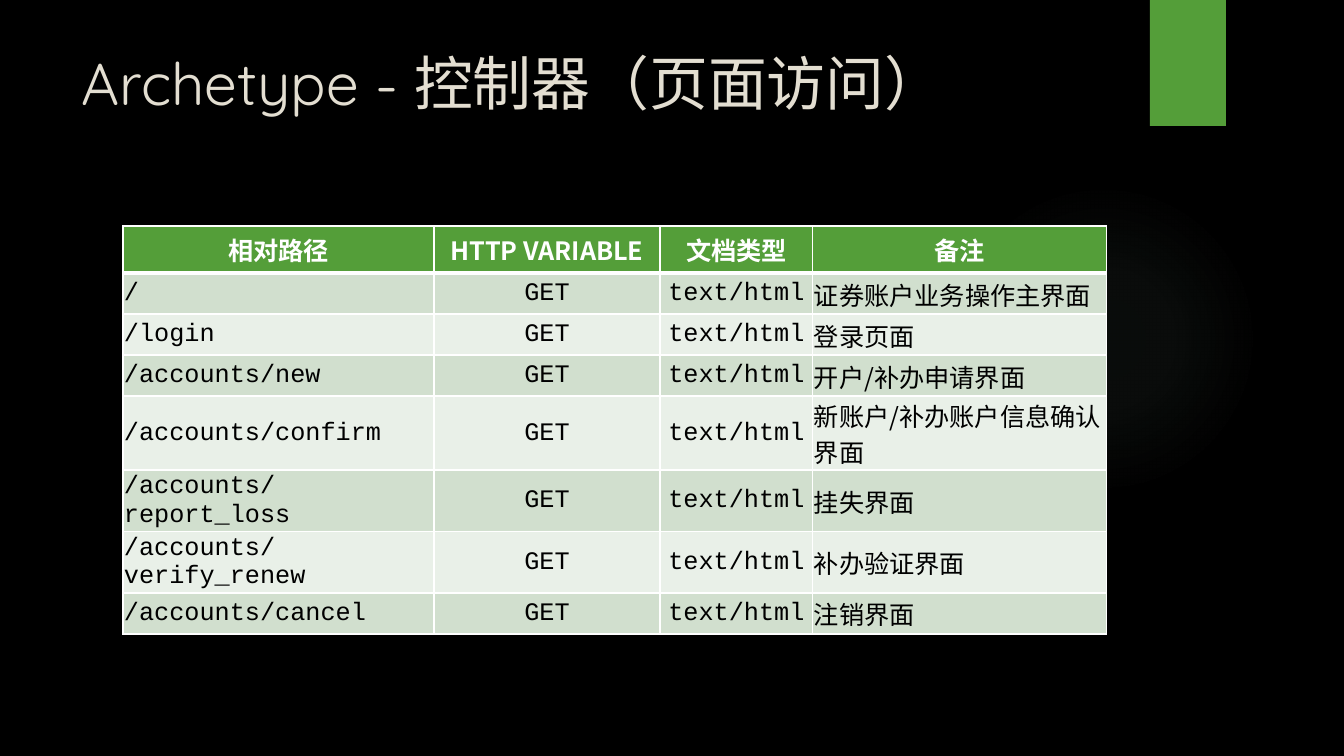
from pptx import Presentation
from pptx import util as u
from pptx.dml.color import RGBColor
from pptx.enum import shapes, text
from pptx.oxml import parse_xml
from pptx.oxml.ns import nsdecls

BLACK = RGBColor(0x00, 0x00, 0x00)
WHITE = RGBColor(0xFF, 0xFF, 0xFF)
GREEN = RGBColor(0x54, 0x9E, 0x39)
CREAM = RGBColor(0xE3, 0xDE, 0xD1)
GLOW = RGBColor(0x87, 0xA8, 0x96)
BANDS = [RGBColor(0xE9, 0xF0, 0xE8), RGBColor(0xD1, 0xDF, 0xCE)]
CJK_FONT = "Noto Sans CJK SC"
CODE_FONT = "Courier New"


def px(*lengths):
    """Turn pixels, at 100.8 to the inch, into a list of EMU."""
    return [u.Emu(round(length * 914400 / 100.8)) for length in lengths]


def set_borders(cell, widths):
    """Draw white left, right, top and bottom borders, widths in points."""
    properties = cell._tc.get_or_add_tcPr()
    for index, (side, width) in enumerate(zip("LRTB", widths)):
        properties.insert(index, parse_xml(
            f'<a:ln{side} {nsdecls("a")} w="{u.Pt(width)}"><a:solidFill>'
            f'<a:srgbClr val="{WHITE}"/></a:solidFill></a:ln{side}>'))


presentation = Presentation()
presentation.slide_width, presentation.slide_height = px(1344, 756)
slide = presentation.slides.add_slide(presentation.slide_layouts[6])
slide.background.fill.solid()
slide.background.fill.fore_color.rgb = BLACK

# Background glow and corner tab
glow = slide.shapes.add_shape(shapes.MSO_SHAPE.OVAL, *px(949, 184, 310, 310))
glow.shadow.inherit = False
glow.line.fill.background()
stops = "".join(
    f'<a:gs pos="{position * 1000}"><a:srgbClr val="{GLOW}">'
    f'<a:alpha val="{alpha * 1000}"/></a:srgbClr></a:gs>'
    for position, alpha in [(0, 7), (36, 6), (69, 0), (100, 0)])
glow._element.spPr.find("{*}prstGeom").addnext(parse_xml(
    f'<a:gradFill {nsdecls("a")}><a:gsLst>{stops}</a:gsLst><a:path path="circle">'
    '<a:fillToRect l="50000" t="50000" r="50000" b="50000"/></a:path></a:gradFill>'))

tab = slide.shapes.add_shape(shapes.MSO_SHAPE.RECTANGLE, *px(1150, 0, 76, 126))
tab.shadow.inherit = False
tab.fill.solid()
tab.fill.fore_color.rgb = GREEN
tab.line.fill.background()

# Title
title = slide.shapes.add_textbox(*px(72, 50, 1037, 154))
title.text_frame.word_wrap = True
paragraph = title.text_frame.paragraphs[0]
paragraph.text = "Archetype - 控制器（页面访问）"
paragraph.line_spacing = 0.9
paragraph.font.name = "Quicksand"
paragraph.font.size = u.Pt(42)
paragraph.font.color.rgb = CREAM

# Route table
HEADERS = ["相对路径", "HTTP VARIABLE", "文档类型", "备注"]
ROUTES = [
    ("/", "证券账户业务操作主界面"),
    ("/login", "登录页面"),
    ("/accounts/new", "开户/补办申请界面"),
    ("/accounts/confirm", "新账户/补办账户信息确认界面"),
    ("/accounts/report_loss", "挂失界面"),
    ("/accounts/verify_renew", "补办验证界面"),
    ("/accounts/cancel", "注销界面"),
]
COLUMN_WIDTHS = [311, 226, 153, 294]
ROW_HEIGHTS = [47, 41, 41, 41, 74, 58, 58, 41]
rows = [HEADERS] + [[route, "GET", "text/html", note] for route, note in ROUTES]

table = slide.shapes.add_table(
    len(rows), len(HEADERS),
    *px(123, 226, sum(COLUMN_WIDTHS), sum(ROW_HEIGHTS))).table
for column, width in zip(table.columns, px(*COLUMN_WIDTHS)):
    column.width = width
for row, height in zip(table.rows, px(*ROW_HEIGHTS)):
    row.height = height

for row_index, row in enumerate(rows):
    is_header = row_index == 0
    for column_index, value in enumerate(row):
        cell = table.cell(row_index, column_index)
        cell.fill.solid()
        cell.fill.fore_color.rgb = GREEN if is_header else BANDS[row_index % 2]
        set_borders(cell, (1, 1, 3 if row_index == 1 else 1, 3 if is_header else 1))
        if not is_header:
            cell.vertical_anchor = text.MSO_ANCHOR.MIDDLE
            cell.margin_left, cell.margin_right, cell.margin_top = px(1, 1, 1)
            cell.margin_bottom = 0
        paragraph = cell.text_frame.paragraphs[0]
        paragraph.text = value
        centred = is_header or column_index in (1, 2)
        paragraph.alignment = text.PP_ALIGN.CENTER if centred else text.PP_ALIGN.LEFT
        font = paragraph.font
        font.name = CJK_FONT if is_header or column_index == 3 else CODE_FONT
        font.size = u.Pt(18)
        font.bold = is_header
        font.color.rgb = WHITE if is_header else BLACK

presentation.save("out.pptx")
